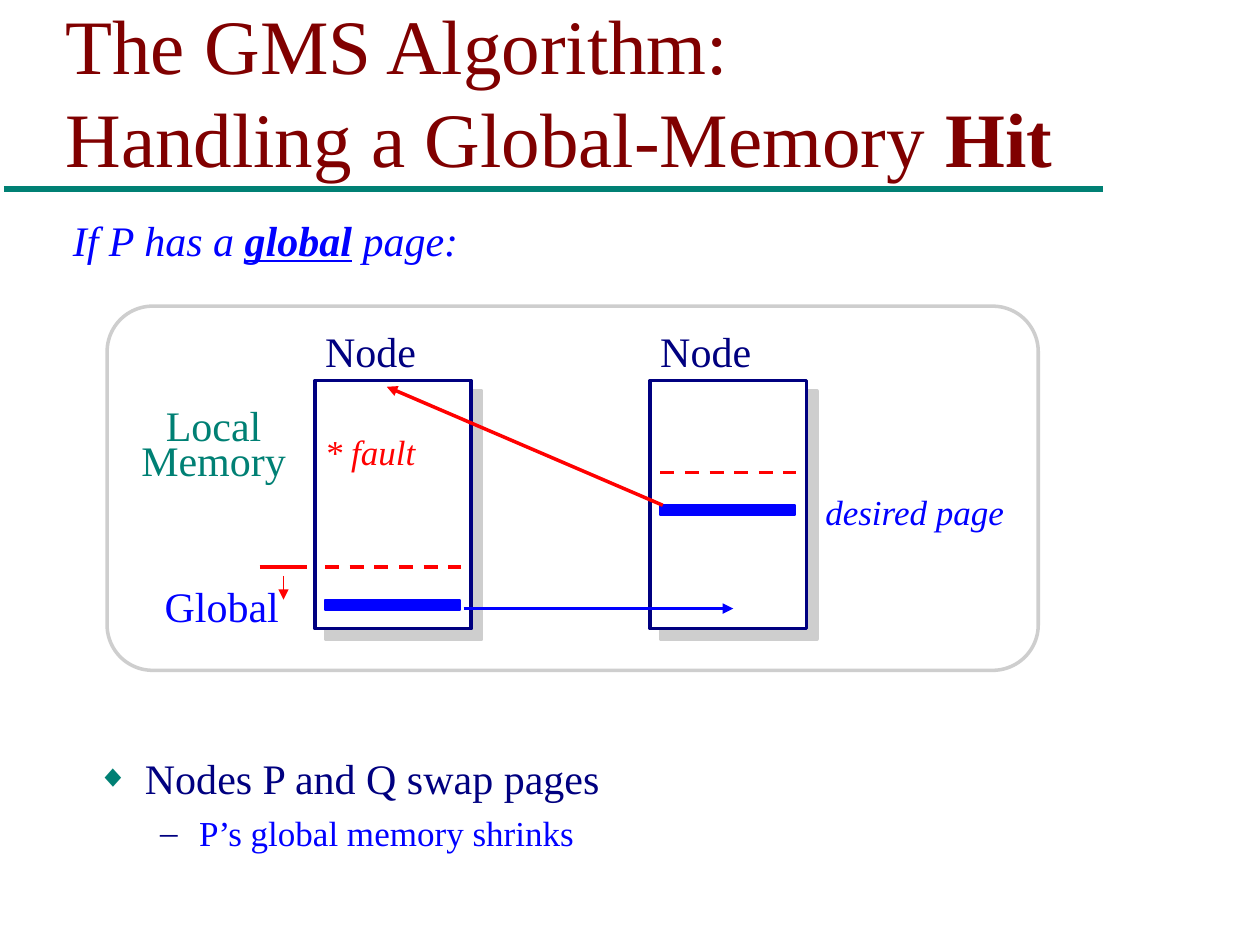
"""Build the slide on handling a global-memory hit."""
from dataclasses import dataclass

from lxml import etree
from pptx import Presentation
from pptx.dml.color import RGBColor
from pptx.enum.dml import MSO_LINE
from pptx.enum.shapes import MSO_CONNECTOR, MSO_SHAPE
from pptx.enum.text import MSO_ANCHOR, MSO_AUTO_SIZE, PP_ALIGN
from pptx.oxml.ns import qn
from pptx.util import Inches, Pt

STRAIGHT = MSO_CONNECTOR.STRAIGHT
RECT, ROUNDED = MSO_SHAPE.RECTANGLE, MSO_SHAPE.ROUNDED_RECTANGLE
DASH = MSO_LINE.DASH
LEFT, CENTER = PP_ALIGN.LEFT, PP_ALIGN.CENTER
TOP, BOTTOM = MSO_ANCHOR.TOP, MSO_ANCHOR.BOTTOM
NO_FIT = MSO_AUTO_SIZE.NONE


@dataclass(frozen=True)
class Theme:
    """Colours, font and type sizes of the slide."""
    font: str = "Times New Roman"
    maroon: str = "800000"
    teal: str = "008074"
    navy: str = "000080"
    blue: str = "0101FF"
    red: str = "FF0101"
    grey: str = "CECECE"
    white: str = "FFFFFF"
    title: int = 44
    text: int = 24
    small: int = 20
    stroke: int = 2
    thin: int = 1
    rule: int = 4


T = Theme()


def rgb(color):
    """Return the colour object for a hex string."""
    return RGBColor.from_string(color)


def apply(obj, **values):
    """Set each given attribute on an object."""
    for name, value in values.items():
        setattr(obj, name, value)


def child(parent, tag, **attrs):
    """Append a DrawingML element and return it."""
    el = etree.SubElement(parent, qn("a:" + tag))
    for name, value in attrs.items():
        el.set(name, str(value))
    return el


def add_run(p, text, size, color, **style):
    """Append a formatted run to a paragraph."""
    r = p.add_run()
    r.text = text
    apply(r.font, name=T.font, size=Pt(size), **style)
    r.font.color.rgb = rgb(color)


def place(sp, x, y, w, h):
    """Move and size a shape in inches."""
    apply(sp, left=Inches(x), top=Inches(y), width=Inches(w), height=Inches(h))


def label(s, box, lines, size, color, inset=(0.12, 0.06), wrap=False,
          align=LEFT, spacing=None, **style):
    """Add a text box whose lines are lists of (text, extra style) runs."""
    tf = s.shapes.add_textbox(*map(Inches, box)).text_frame
    dx, dy = map(Inches, inset)
    apply(tf, word_wrap=wrap, margin_left=dx, margin_right=dx,
          margin_top=dy, margin_bottom=dy)
    for i, runs in enumerate(lines):
        p = tf.add_paragraph() if i else tf.paragraphs[0]
        apply(p, alignment=align, line_spacing=spacing)
        for text, extra in runs:
            add_run(p, text, size, color, **{**style, **extra})


def shape(s, kind, box, fill, line, width):
    """Add a filled and outlined preset shape."""
    sp = s.shapes.add_shape(kind, *map(Inches, box))
    sp.shadow.inherit = False
    sp.fill.solid()
    sp.fill.fore_color.rgb = rgb(fill)
    sp.line.color.rgb = rgb(line)
    sp.line.width = Pt(width)
    return sp


def line(s, start, end, color, width=T.stroke, dash=None, arrow=False):
    """Add a straight line, dashed or with an arrowhead on request."""
    cn = s.shapes.add_connector(STRAIGHT, *map(Inches, (*start, *end)))
    cn.line.color.rgb = rgb(color)
    apply(cn.line, width=Pt(width), dash_style=dash)
    if arrow:
        child(cn.line._get_or_add_ln(), "tailEnd", type="triangle")
    child(cn._element.spPr, "effectLst")


def header(s, x, y, w, h):
    """Fill the title placeholder and draw the rule beneath it."""
    line(s, (0.03, y + h), (8.75, y + h), T.teal, T.rule)
    sp = s.shapes.title
    place(sp, x, y, w, h)
    apply(sp.text_frame, vertical_anchor=BOTTOM, word_wrap=True, auto_size=NO_FIT)
    p = sp.text_frame.paragraphs[0]
    p.alignment = LEFT
    add_run(p, "The GMS Algorithm:", T.title, T.maroon)
    p.add_line_break()
    add_run(p, "Handling a Global-Memory ", T.title, T.maroon)
    add_run(p, "Hit", T.title, T.maroon, bold=True)


def bullets(s, x, y, w, h):
    """Fill the body placeholder with the two-level list."""
    sp = s.placeholders[1]
    place(sp, x, y, w, h)
    tf = sp.text_frame
    apply(tf, vertical_anchor=TOP, word_wrap=True, auto_size=NO_FIT)
    items = [
        ("Nodes P and Q swap pages", T.text, T.navy, 6, 0.38, 0.38, "◆", T.teal, 75),
        ("P’s global memory shrinks", T.small, T.blue, 5, 0.81, 0.31, "–", T.navy, 100),
    ]
    for i, (text, size, color, before, margin, hang, mark, tint, pct) in enumerate(items):
        p = tf.add_paragraph() if i else tf.paragraphs[0]
        apply(p, level=i, space_before=Pt(before), alignment=LEFT)
        add_run(p, text, size, color)
        pPr = p._p.get_or_add_pPr()
        pPr.set("marL", str(Inches(margin)))
        pPr.set("indent", str(-Inches(hang)))
        child(child(pPr, "buClr"), "srgbClr", val=tint)
        child(pPr, "buSzPct", val=pct * 1000)
        child(pPr, "buFont", typeface=T.font)
        child(pPr, "buChar", char=mark)


def node(s, x, y, w, h, name, limit, page):
    """Draw a node's memory with its limit line and global page."""
    label(s, (x - 0.04, y - 0.5, w, 0.52),
          [[("Node ", {}), (name, {"bold": True})]], T.text, T.navy)
    sp = shape(s, RECT, (x, y, w, h), T.white, T.navy, T.stroke)
    effects = sp._element.spPr.find(qn("a:effectLst"))
    shadow = child(effects, "outerShdw", dist=Pt(8.5), dir=45 * 60000,
                   algn="ctr", rotWithShape=0)
    child(shadow, "srgbClr", val=T.grey)
    line(s, (x + 0.08, y + limit), (x + w - 0.08, y + limit), T.red, dash=DASH)
    shape(s, RECT, (x + 0.08, y + page, 1.07, 0.08), T.blue, T.blue, T.thin)


def diagram(s, x, y, w, h):
    """Draw the frame, both nodes and the page swap between them."""
    frame = shape(s, ROUNDED, (x, y, w, h), T.white, T.grey, T.stroke)
    frame.adjustments[0] = 0.125
    for dx, name, limit, page in ((4.31, "Q", 0.73, 0.99), (1.65, "P", 1.48, 1.74)):
        node(s, x + dx, y + 0.59, 1.24, 1.97, name, limit, page)
    line(s, (x + 1.21, y + 2.07), (x + 1.59, y + 2.07), T.red)
    line(s, (x + 1.4, y + 2.14), (x + 1.4, y + 2.33), T.red, T.thin, arrow=True)
    line(s, (x + 4.41, y + 1.58), (x + 2.22, y + 0.64), T.red, arrow=True)
    line(s, (x + 2.83, y + 2.4), (x + 4.97, y + 2.4), T.blue, arrow=True)
    centred = {"wrap": True, "align": CENTER, "spacing": 0.7}
    label(s, (x + 0.15, y + 0.79, 1.39, 0.68),
          [[("Local", {})], [("Memory", {})]], T.text, T.teal, **centred)
    label(s, (x + 0.25, y + 2.23, 1.32, 0.4),
          [[("Global", {})]], T.text, T.blue, **centred)
    label(s, (x + 5.58, y + 1.4, 1.67, 0.46),
          [[("desired page", {})]], T.small, T.blue, italic=True)
    label(s, (x + 1.63, y + 0.94, 0.92, 0.43),
          [[("* fault", {})]], T.small, T.red, inset=(0.1, 0.05), italic=True)


def main():
    """Assemble and save the slide."""
    prs = Presentation()
    apply(prs, slide_width=Inches(10), slide_height=Inches(7.5))
    s = prs.slides.add_slide(prs.slide_layouts[1])
    header(s, 0.42, 0.29, 8.5, 1.21)
    label(s, (0.48, 1.65, 3.26, 0.5),
          [[("If P has a ", {}), ("global", {"bold": True, "underline": True}),
            (" page:", {})]],
          T.text, T.blue, inset=(0.1, 0.05), italic=True)
    diagram(s, 0.85, 2.43, 7.39, 2.89)
    bullets(s, 0.67, 5.92, 8.92, 1.33)
    prs.save("out.pptx")


main()
